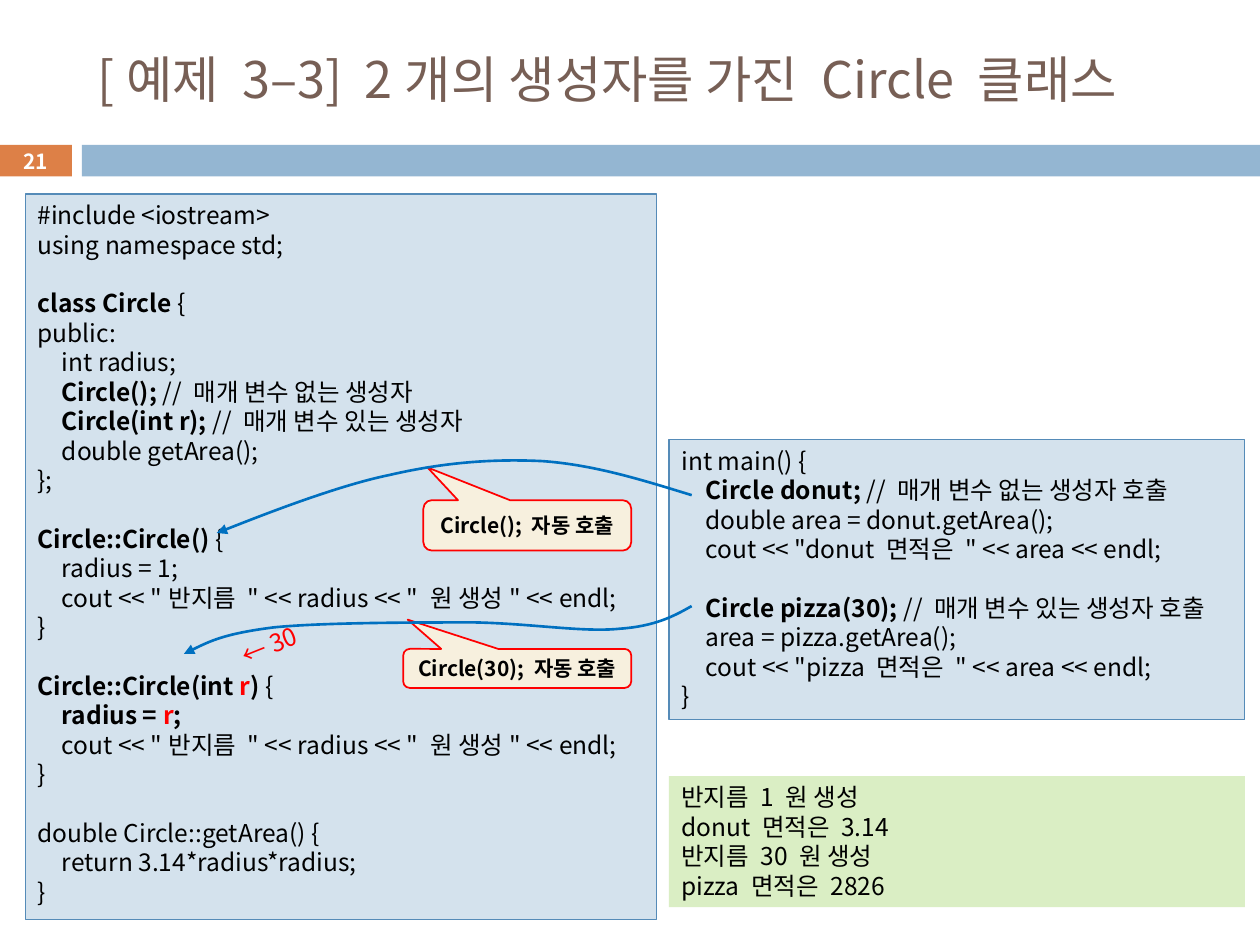
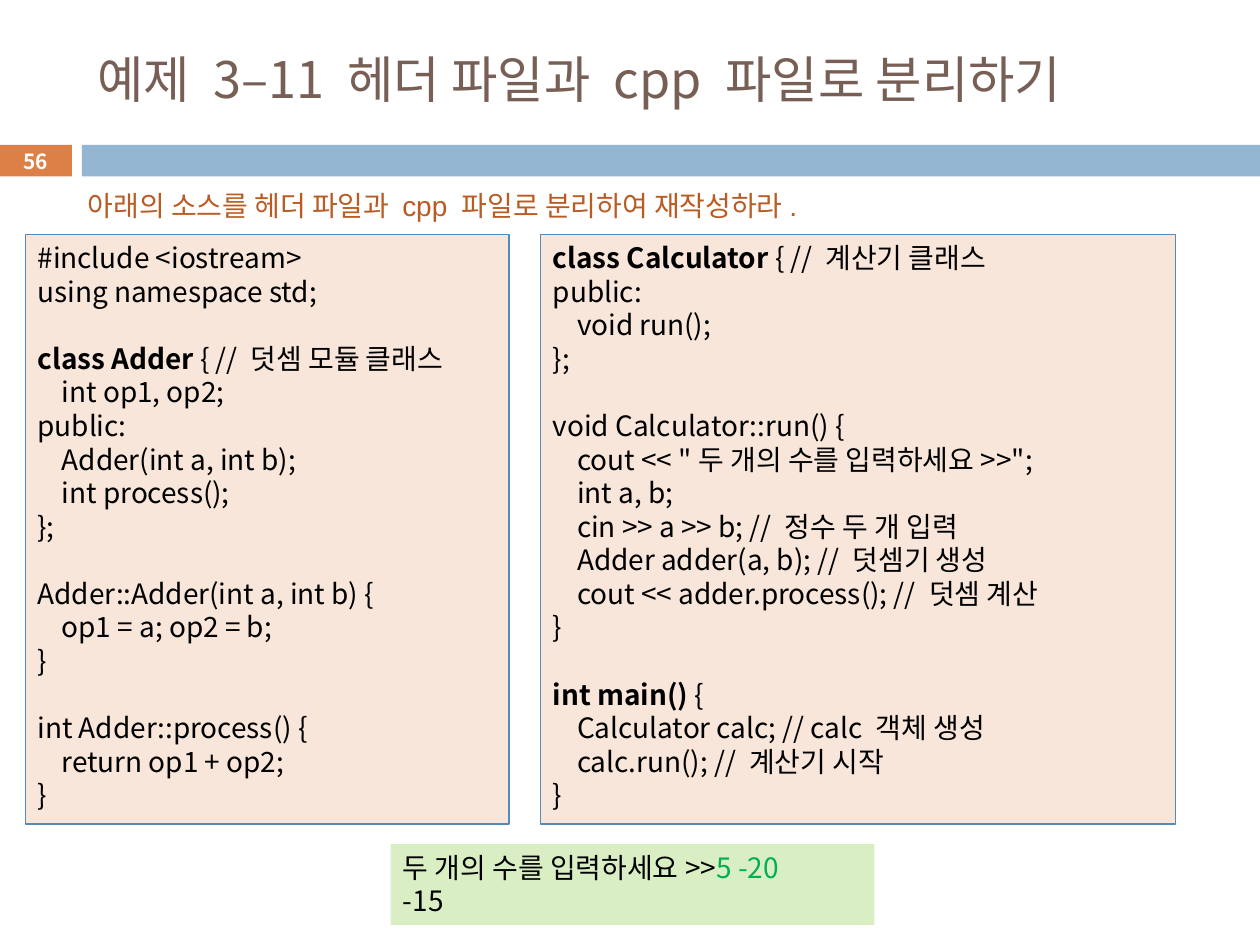
from lxml import etree
from pptx import Presentation, util as u
from pptx.dml.color import RGBColor
from pptx.enum import shapes, text
from pptx.oxml import ns

FONT = "Noto Sans CJK KR"
HUES = {
    "title": "775F55", "badge": "DD8047", "band": "94B6D2", "white": "FFFFFF",
    "black": "000000", "edge": "558BB8", "blue": "D4E2ED", "peach": "F8E6DA",
    "green": "DAEEC4", "cream": "F7F0DE", "red": "FF0000", "input": "00B050",
    "arrow": "0070C0", "task": "B95B22",
}
WIDE, HIGH = u.Inches(10), u.Inches(7.5)
CELL = WIDE / 100  # the grid has 100 columns and 75 rows
INDENT = 1.92      # tab stop of the code, in columns
LEAD = 1.2         # line pitch as a share of the type size

# In the code, ` switches bold and ~ switches the accent colour.
CIRCLE = """#include <iostream>
using namespace std;

`class Circle `{
public:
    int radius;
    `Circle(); `// 매개 변수 없는 생성자
    `Circle(int r); `// 매개 변수 있는 생성자
    double getArea();
};

`Circle::Circle() `{
    radius = 1;
    cout << "반지름 " << radius << " 원 생성" << endl;
}

`Circle::Circle(int ~r~) `{
    `radius = ~r~;`
    cout << "반지름 " << radius << " 원 생성" << endl;
}

double Circle::getArea() {
    return 3.14*radius*radius;
}"""

CIRCLE_MAIN = """int main() {
    `Circle donut; `// 매개 변수 없는 생성자 호출
    double area = donut.getArea();
    cout << "donut 면적은 " << area << endl;

    `Circle pizza(30); `// 매개 변수 있는 생성자 호출
    area = pizza.getArea();
    cout << "pizza 면적은 " << area << endl;
}"""

CIRCLE_OUT = """반지름 1 원 생성
donut 면적은 3.14
반지름 30 원 생성
pizza 면적은 2826"""

ADDER = """#include <iostream>
using namespace std;

`class Adder `{ // 덧셈 모듈 클래스
    int op1, op2;
public:
    Adder(int a, int b);
    int process();
};

Adder::Adder(int a, int b) {
    op1 = a; op2 = b;
}

int Adder::process() {
    return op1 + op2;
}"""

CALC = """`class Calculator `{ // 계산기 클래스
public:
    void run();
};

void Calculator::run() {
    cout << "두 개의 수를 입력하세요>>";
    int a, b;
    cin >> a >> b; // 정수 두 개 입력
    Adder adder(a, b); // 덧셈기 생성
    cout << adder.process(); // 덧셈 계산
}

`int main() `{
    Calculator calc; // calc 객체 생성
    calc.run(); // 계산기 시작
}"""

CALC_OUT = """두 개의 수를 입력하세요>>~5 -20~
-15"""


def grid(*cells):
    return [round(c * CELL) for c in cells]


def hue(name):
    return RGBColor.from_string(HUES[name])


def child(node, tag, **attrs):
    return etree.SubElement(node, ns.qn(tag), attrs)


# Text
def style(para, size, color, bold=None, face=FONT):
    para.line_spacing = u.Pt(round(size * LEAD, 1))
    para.space_before = u.Pt(0)
    font = para.font
    font.size, font.bold, font.name = u.Pt(size), bold, face
    font.color.rgb = hue(color)
    child(font._element, "a:ea", typeface=FONT)


def add_runs(para, line, accent):
    for i, part in enumerate(line.split("`")):
        for j, bit in enumerate(part.split("~")):
            if bit:
                run = para.add_run()
                run.text = bit
                if i % 2:
                    run.font.bold = True
                if j % 2:
                    run.font.color.rgb = hue(accent)


def write(frame, words, size, color="black", accent="red", bold=None,
          face=FONT, align=text.PP_ALIGN.LEFT,
          anchor=text.MSO_ANCHOR.TOP, wrap=True):
    frame.word_wrap, frame.vertical_anchor = wrap, anchor
    for i, line in enumerate(words.replace("    ", "\t").split("\n")):
        para = frame.add_paragraph() if i else frame.paragraphs[0]
        para.alignment = align
        if line.startswith("\t"):
            tabs = child(para._p.get_or_add_pPr(), "a:tabLst")
            child(tabs, "a:tab", pos=str(grid(INDENT)[0]), algn="l")
        add_runs(para, line, accent)
        style(para, size, color, bold, face)


def centred(frame, words, size, color="black"):
    write(frame, words, size, color, bold=True, align=text.PP_ALIGN.CENTER,
          anchor=text.MSO_ANCHOR.MIDDLE)


def label(slide, at, words, size, color, face=FONT):
    box = slide.shapes.add_textbox(*grid(*at))
    write(box.text_frame, words, size, color, face=face, wrap=False)
    return box


# Shapes
def block(slide, at, fill, edge=None, width=0.75,
          kind=shapes.MSO_SHAPE.RECTANGLE):
    box = slide.shapes.add_shape(kind, *grid(*at))
    box.shadow.inherit = False
    box.fill.solid()
    box.fill.fore_color.rgb = hue(fill)
    if edge:
        box.line.color.rgb, box.line.width = hue(edge), u.Pt(width)
    else:
        box.line.fill.background()
    return box


def panel(slide, at, words, size, fill, edge="edge", accent="red"):
    write(block(slide, at, fill, edge).text_frame, words, size, accent=accent)


def callout(slide, at, words, tip):
    box = block(slide, at, "cream", "red", 1,
                shapes.MSO_SHAPE.ROUNDED_RECTANGULAR_CALLOUT)
    for i, value in enumerate((*tip, 0.17)):
        box.adjustments[i] = value
    centred(box.text_frame, words, 12)


def curve(slide, start, *points):
    """Draw an arrow through Bezier points, three to a segment."""
    pen = slide.shapes.build_freeform(*grid(*start))
    pen.add_line_segments([grid(*p) for p in points], close=False)
    line = pen.convert_to_shape()
    line.shadow.inherit = False
    line.fill.background()
    line.line.color.rgb, line.line.width = hue("arrow"), u.Pt(1.5)
    child(line.line._get_or_add_ln(), "a:tailEnd", type="triangle")
    route = line._element.find(".//" + ns.qn("a:path"))
    steps = route.findall(ns.qn("a:lnTo"))
    for i in range(0, len(steps), 3):
        bend = child(route, "a:cubicBezTo")
        for step in steps[i:i + 3]:
            bend.append(step[0])
            route.remove(step)


# Title, bands and page number
def new_slide(deck, title, page):
    slide = deck.slides.add_slide(deck.slide_layouts[5])
    head = slide.shapes.title
    head.left, head.top, head.width, head.height = grid(6.7, 2.5, 89.2, 7.4)
    write(head.text_frame, title, 28.8, "title",
          anchor=text.MSO_ANCHOR.MIDDLE)
    block(slide, (6.5, 11.5, 93.5, 2.5), "band")
    badge = block(slide, (-0.1, 11.5, 5.8, 2.5), "badge")
    centred(badge.text_frame, page, 11.9, "white")
    return slide


def circle_slide(deck):
    slide = new_slide(deck, "[예제 3–3]  2개의 생성자를 가진 Circle 클래스", "21")
    panel(slide, (2, 15.4, 50.1, 57.6), CIRCLE, 14, "blue")
    panel(slide, (53.1, 34.9, 45.7, 22.2), CIRCLE_MAIN, 14, "blue")
    callout(slide, (32, 51.5, 18.1, 3.1), "Circle(30); 자동 호출", (-0.48, -1.25))
    callout(slide, (33.6, 39.7, 16.5, 4), "Circle(); 자동 호출", (-0.48, -1.15))
    label(slide, (18.1, 49.5, 6.8, 3.4), "← 30", 14, "red").rotation = 338.1
    panel(slide, (53.1, 61.6, 45.7, 10.4), CIRCLE_OUT, 14, "green", None)
    # From each object to its constructor
    curve(slide, (54.9, 39.3),
          (51, 38.1), (47.2, 36.9), (43.1, 36.6),
          (39.1, 36.4), (35.2, 36.7), (30.9, 37.7),
          (26.5, 38.6), (17.2, 42.3), (17.2, 42.3))
    curve(slide, (54.9, 48.1),
          (53.5, 48.9), (52, 49.7), (49.2, 49.9),
          (46.3, 50.2), (42.3, 49.5), (37.7, 49.4),
          (33.2, 49.4), (25.6, 49.4), (21.7, 49.8),
          (17.8, 50.3), (16.2, 51.1), (14.6, 51.9))


def adder_slide(deck):
    slide = new_slide(deck, "예제 3–11 헤더 파일과 cpp 파일로 분리하기", "56")
    label(slide, (6, 14.5, 63.4, 3.7),
          "아래의 소스를 헤더 파일과 cpp 파일로 분리하여 재작성하라.",
          16, "task", "Arial")
    for left, width, code in ((2, 38.4, ADDER), (42.9, 50.4, CALC)):
        panel(slide, (left, 18.6, width, 46.8), code, 16, "peach")
    panel(slide, (31, 67, 38.4, 6.4), CALC_OUT, 16, "green", None, "input")


def main():
    deck = Presentation()
    deck.slide_width, deck.slide_height = WIDE, HIGH
    circle_slide(deck)
    adder_slide(deck)
    deck.save("out.pptx")


if __name__ == "__main__":
    main()
